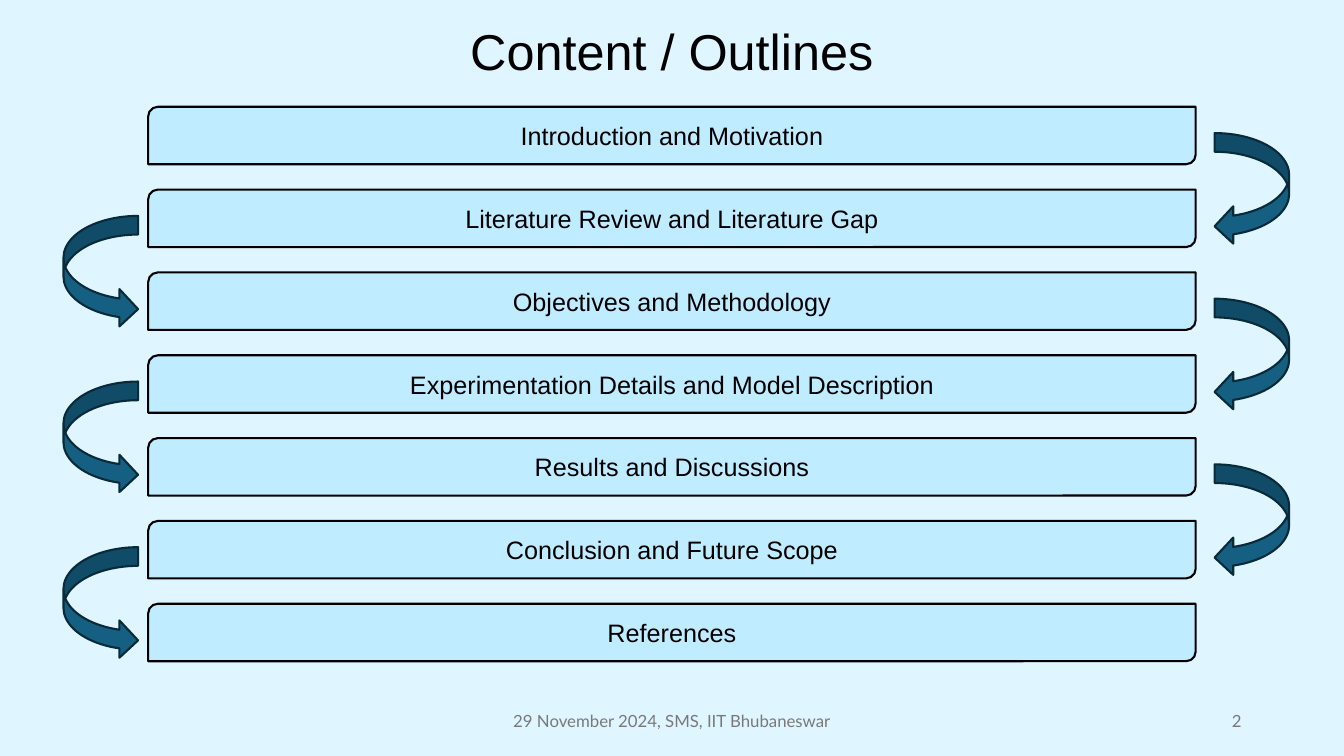
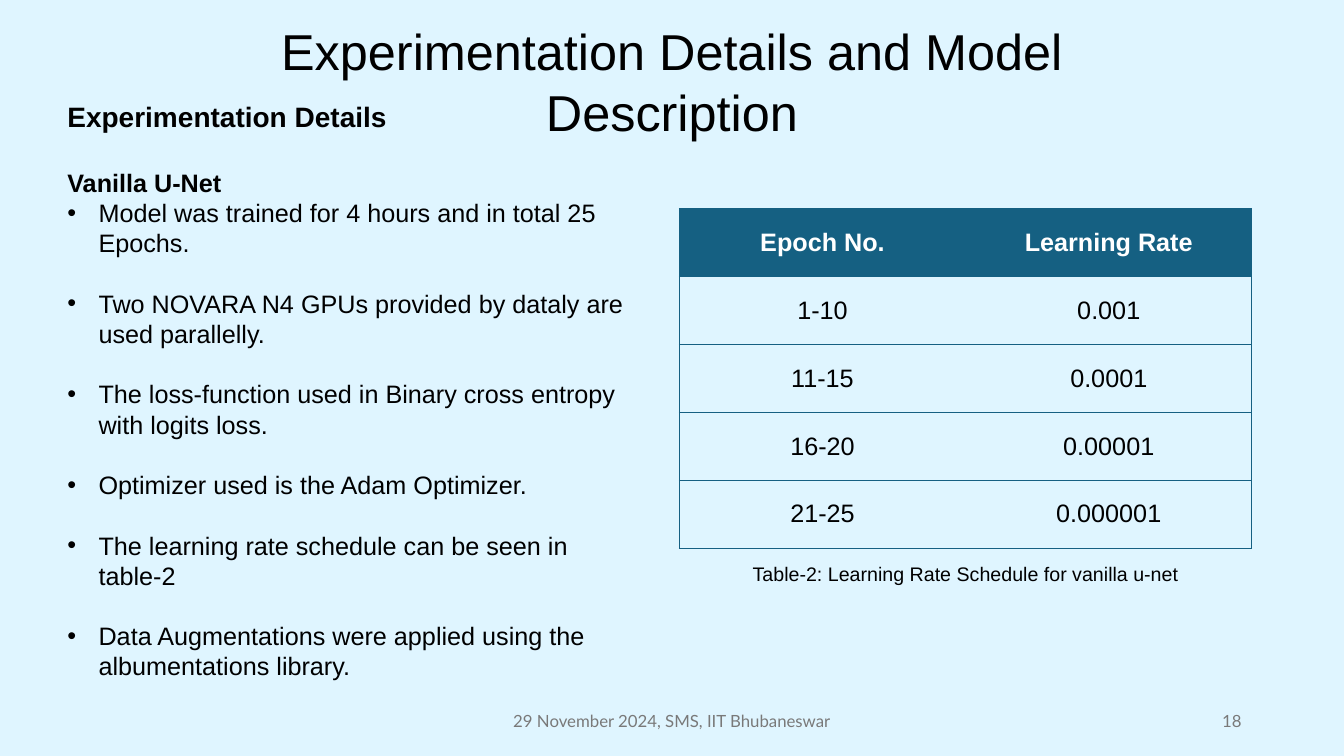
"""Build the outline slide and the experimentation slide of a thesis talk."""
from dataclasses import dataclass

from lxml.etree import SubElement
from pptx import Presentation
from pptx.dml.color import RGBColor
from pptx.enum.shapes import MSO_SHAPE as Preset
from pptx.enum.text import MSO_ANCHOR as Anchor, PP_ALIGN as Align
from pptx.oxml.ns import qn
from pptx.util import Inches, Pt

COLUMNS, ROWS = 160, 90
CELL = Inches(1) / 12


@dataclass(frozen=True)
class Theme:
    backdrop: str = "DFF5FF"
    bar: str = "BFECFF"
    accent: str = "156082"
    accent_edge: str = "092A39"
    ink: str = "000000"
    light: str = "FFFFFF"
    muted: str = "797979"
    font: str = "Arial"
    footer_font: str = "Lato"
    title_size: int = 36
    heading_size: int = 20
    body_size: int = 18
    caption_size: int = 14
    footer_size: int = 12
    outline: float = 1.5
    rule: int = 1


THEME = Theme()

FOOTER = "29 November 2024, SMS, IIT Bhubaneswar"
OUTLINE = [
    "Introduction and Motivation",
    "Literature Review and Literature Gap",
    "Objectives and Methodology",
    "Experimentation Details and Model Description",
    "Results and Discussions",
    "Conclusion and Future Scope",
    "References",
]
TRAINING_NOTES = [
    "Model was trained for 4 hours and in total 25 Epochs.",
    "Two NOVARA N4 GPUs provided by dataly are used parallelly.",
    "The loss-function used in Binary cross entropy with logits loss.",
    "Optimizer used is the Adam Optimizer.",
    "The learning rate schedule can be seen in table-2",
    "Data Augmentations were applied using the albumentations library.",
]
LEARNING_RATES = [
    ("Epoch No.", "Learning Rate"),
    ("1-10", "0.001"),
    ("11-15", "0.0001"),
    ("16-20", "0.00001"),
    ("21-25", "0.000001"),
]


def rgb(code):
    return RGBColor.from_string(code)


def grid(*cells):
    """Turn counts of grid columns and rows into lengths."""
    return [round(count * CELL) for count in cells]


def write(frame, text, size=THEME.body_size, color=THEME.ink, font=THEME.font,
          bold=False, align=Align.LEFT, before=0, bullet=False):
    """Add one formatted paragraph, using the empty first one if it is free."""
    first = frame.paragraphs[0]
    paragraph = frame.add_paragraph() if first.runs else first
    paragraph.alignment = align
    if before:
        paragraph.space_before = Pt(before)
    if bullet:
        properties = paragraph._p.get_or_add_pPr()
        indent = Inches(0.31)
        properties.set("marL", str(indent))
        properties.set("indent", str(-indent))
        SubElement(properties, qn("a:buFont"), typeface=THEME.font)
        SubElement(properties, qn("a:buChar"), char="•")
    run = paragraph.add_run()
    run.text = text
    run.font.size = Pt(size)
    run.font.name = font
    run.font.bold = bold
    run.font.color.rgb = rgb(color)


def text_area(slide, *place, anchor=Anchor.TOP):
    frame = slide.shapes.add_textbox(*grid(*place)).text_frame
    frame.word_wrap = True
    frame.vertical_anchor = anchor
    return frame


def add_preset(slide, preset, *place, fill, edge):
    shape = slide.shapes.add_shape(preset, *grid(*place))
    shape.shadow.inherit = False
    shape.fill.solid()
    shape.fill.fore_color.rgb = rgb(fill)
    shape.line.color.rgb = rgb(edge)
    shape.line.width = Pt(THEME.outline)
    return shape


def start_slide(deck, title, number):
    """Add a blank slide with the shared title, footer and page number."""
    slide = deck.slides.add_slide(deck.slide_layouts[6])
    write(text_area(slide, 17.5, 1.85, 125, 8.5), title,
          size=THEME.title_size, align=Align.CENTER)
    for text, left, width, align in (
        (FOOTER, 53, 54, Align.CENTER),
        (str(number), 113, 36, Align.RIGHT),
    ):
        write(text_area(slide, left, 83.4, width, 4.8, anchor=Anchor.MIDDLE),
              text, size=THEME.footer_size, color=THEME.muted,
              font=THEME.footer_font, align=align)
    return slide


def add_outline(slide, topics):
    """Stack one bar per topic, joined by arrows on alternating sides."""
    top, pitch, arrow_drop = 12.72, 9.86, 3.12
    arrow_sides = ((Preset.CURVED_LEFT_ARROW, 144.6),
                   (Preset.CURVED_RIGHT_ARROW, 7.56))
    for index, topic in enumerate(topics):
        bar_top = top + index * pitch
        bar = add_preset(slide, Preset.ROUND_2_DIAG_RECTANGLE,
                         17.64, bar_top, 124.7, 6.84,
                         fill=THEME.bar, edge=THEME.ink)
        bar.text_frame.vertical_anchor = Anchor.MIDDLE
        write(bar.text_frame, topic, align=Align.CENTER)
        if index < len(topics) - 1:
            arrow, left = arrow_sides[index % 2]
            add_preset(slide, arrow, left, bar_top + arrow_drop, 8.88, 13.32,
                       fill=THEME.accent, edge=THEME.accent_edge)


def rule_cell(cell, ruled_sides):
    """Draw the named sides of a cell and clear the others."""
    properties = cell._tc.get_or_add_tcPr()
    for side in "LRTB":
        line = SubElement(properties, qn(f"a:ln{side}"), w=str(Pt(THEME.rule)))
        if side in ruled_sides:
            paint = SubElement(line, qn("a:solidFill"))
            SubElement(paint, qn("a:srgbClr"), val=THEME.accent)
        else:
            SubElement(line, qn("a:noFill"))


def add_rate_table(slide, records):
    """Add a table with a filled header, row rules and an outer frame."""
    table = slide.shapes.add_table(len(records), len(records[0]),
                                   *grid(80.88, 24.84, 68.16, 40.44)).table
    table.horz_banding = False
    last = len(records[0]) - 1
    for row, record in enumerate(records):
        header = row == 0
        for column, text in enumerate(record):
            cell = table.cell(row, column)
            cell.vertical_anchor = Anchor.MIDDLE
            left = "L" if column == 0 else ""
            right = "R" if column == last else ""
            rule_cell(cell, "TB" + left + right)
            if header:
                cell.fill.solid()
                cell.fill.fore_color.rgb = rgb(THEME.accent)
            else:
                cell.fill.background()
            write(cell.text_frame, text, bold=header, align=Align.CENTER,
                  color=THEME.light if header else THEME.ink)


def add_training_notes(slide, notes):
    frame = text_area(slide, 6.84, 11.28, 69.12, 67.44)
    write(frame, "Experimentation Details", size=THEME.heading_size, bold=True)
    write(frame, "Vanilla U-Net", bold=True, before=24)
    for index, note in enumerate(notes):
        write(frame, note, bullet=True, before=21.6 if index else 0)


def main():
    deck = Presentation()
    deck.slide_width, deck.slide_height = grid(COLUMNS, ROWS)
    backdrop = deck.slide_master.background.fill
    backdrop.solid()
    backdrop.fore_color.rgb = rgb(THEME.backdrop)

    contents = start_slide(deck, "Content / Outlines", 2)
    add_outline(contents, OUTLINE)

    experiment = start_slide(deck, OUTLINE[3], 18)
    add_training_notes(experiment, TRAINING_NOTES)
    add_rate_table(experiment, LEARNING_RATES)
    write(text_area(experiment, 81.84, 66.36, 66.24, 4.08),
          "Table-2: Learning Rate Schedule for vanilla u-net",
          size=THEME.caption_size, align=Align.CENTER)

    deck.save("out.pptx")


if __name__ == "__main__":
    main()
